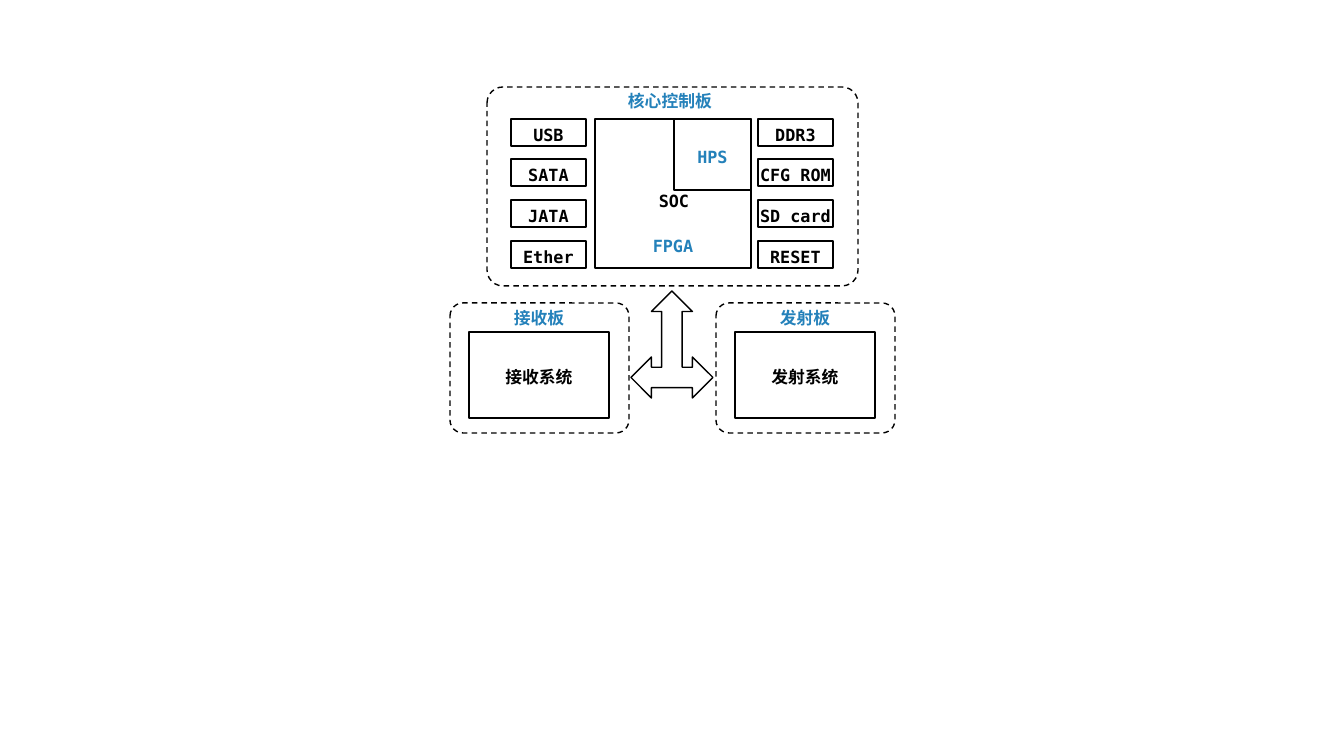
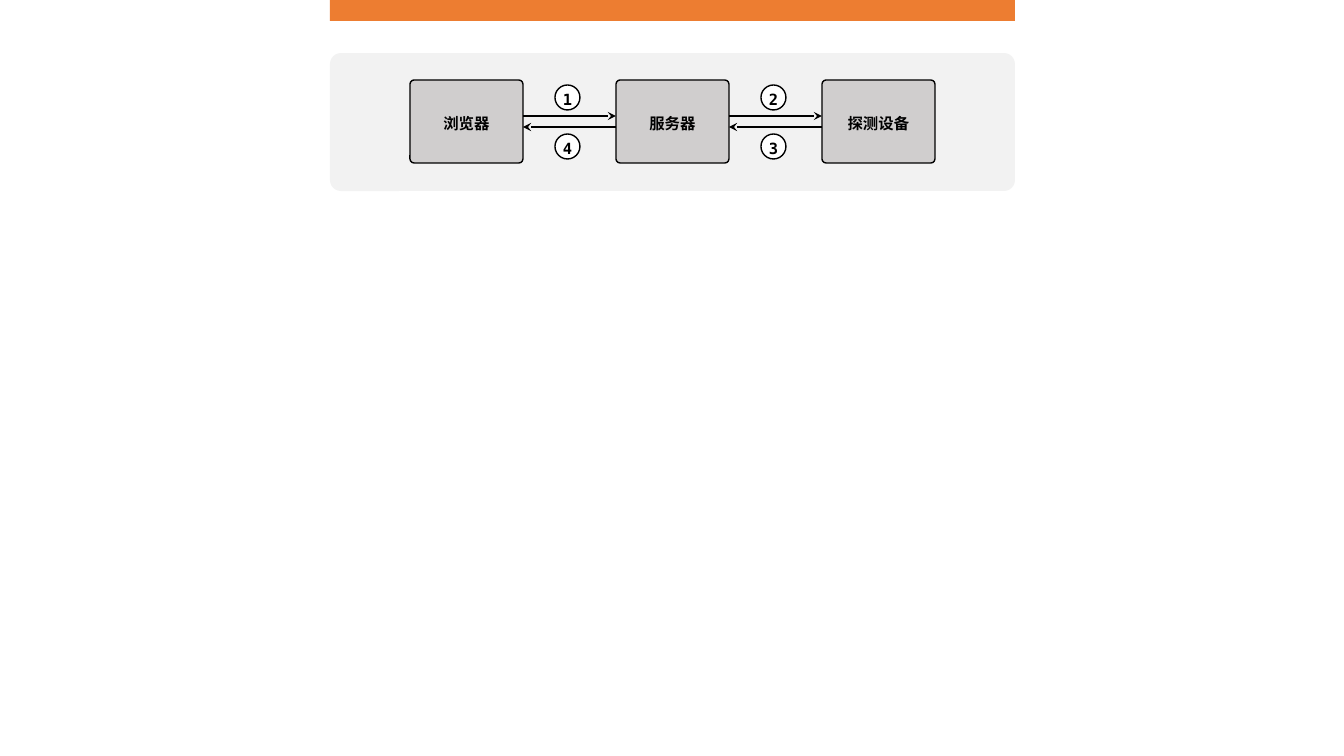
"""Build two slides: a control board block diagram and a browser-to-device request flow."""
from lxml.etree import SubElement
from pptx import Presentation
from pptx.dml.color import RGBColor
from pptx.enum.dml import MSO_LINE
from pptx.enum.shapes import MSO_CONNECTOR, MSO_SHAPE
from pptx.enum.text import MSO_ANCHOR, PP_ALIGN
from pptx.oxml.ns import qn
from pptx.util import Pt

PX = 914400 / 100.8
FONT = "DejaVu Sans Mono"
BLACK = RGBColor(0x00, 0x00, 0x00)
WHITE = RGBColor(0xFF, 0xFF, 0xFF)
BLUE = RGBColor(0x24, 0x81, 0xBA)
ORANGE = RGBColor(0xED, 0x7D, 0x31)
PANEL_GRAY = RGBColor(0xF2, 0xF2, 0xF2)
NODE_GRAY = RGBColor(0xD0, 0xCE, 0xCE)


def add_text(shape, text, size=12, color=BLACK, anchor=MSO_ANCHOR.MIDDLE, bottom=0):
    frame = shape.text_frame
    frame.word_wrap = True
    frame.vertical_anchor = anchor
    frame.margin_left = frame.margin_right = 0
    frame.margin_top = round(4 * PX)
    frame.margin_bottom = round(bottom * PX)
    paragraph = frame.paragraphs[0]
    paragraph.alignment = PP_ALIGN.CENTER
    run = paragraph.add_run()
    run.text = text
    run.font.name = FONT
    run.font.size = Pt(size)
    run.font.bold = True
    run.font.color.rgb = color


def add_box(slide, bounds, kind=MSO_SHAPE.RECTANGLE, fill=None, line=BLACK, dash=None, corner=None):
    shape = slide.shapes.add_shape(kind, *[round(length * PX) for length in bounds])
    shape.shadow.inherit = False
    if corner is not None:
        shape.adjustments[0] = corner
    if fill is None:
        shape.fill.background()
    else:
        shape.fill.solid()
        shape.fill.fore_color.rgb = fill
    if line is None:
        shape.line.fill.background()
    else:
        shape.line.color.rgb = line
        shape.line.width = Pt(1)
        if dash is not None:
            shape.line.dash_style = dash
    return shape


presentation = Presentation()
presentation.slide_width = round(1344 * PX)
presentation.slide_height = round(756 * PX)
blank_layout = presentation.slide_layouts[6]

board_slide = presentation.slides.add_slide(blank_layout)
boards = [
    ((487, 87, 371, 199), 0.08),
    ((450, 303, 179, 130), 0.1),
    ((716, 303, 179, 130), 0.1),
]
for bounds, corner in boards:
    add_box(board_slide, bounds, MSO_SHAPE.ROUNDED_RECTANGLE, dash=MSO_LINE.DASH, corner=corner)

port_columns = [
    (511, ["USB", "SATA", "JATA", "Ether"]),
    (758, ["DDR3", "CFG ROM", "SD card", "RESET"]),
]
for left, names in port_columns:
    for row, name in enumerate(names):
        port = add_box(board_slide, (left, 119 + row * 122 // 3, 75, 27))
        add_text(port, name)

fpga = add_box(board_slide, (595, 119, 156, 149))
add_text(fpga, "FPGA", color=BLUE, anchor=MSO_ANCHOR.BOTTOM, bottom=12)
hps = add_box(board_slide, (674, 119, 77, 71))
add_text(hps, "HPS", color=BLUE)
add_box(board_slide, (631, 291, 82, 107), MSO_SHAPE.LEFT_RIGHT_UP_ARROW)

for left, name in [(469, "接收系统"), (735, "发射系统")]:
    system = add_box(board_slide, (left, 332, 140, 86))
    add_text(system, name)

labels = [
    ("核心控制板", (620, 87, 100, 24), BLUE),
    ("SOC", (642, 179, 64, 40), BLACK),
    ("接收板", (508, 302, 62, 27), BLUE),
    ("发射板", (774, 302, 62, 27), BLUE),
]
for text, bounds, color in labels:
    label = board_slide.shapes.add_textbox(*[round(length * PX) for length in bounds])
    add_text(label, text, color=color)

flow_slide = presentation.slides.add_slide(blank_layout)
add_box(flow_slide, (330, 0, 685, 21), fill=ORANGE, line=None)
add_box(flow_slide, (330, 53, 685, 138), MSO_SHAPE.ROUNDED_RECTANGLE,
        fill=PANEL_GRAY, line=None, corner=0.08)

NODE_LEFT, NODE_WIDTH, NODE_PITCH = 410, 113, 206
for column, name in enumerate(["浏览器", "服务器", "探测设备"]):
    node = add_box(flow_slide, (NODE_LEFT + column * NODE_PITCH, 80, NODE_WIDTH, 83),
                   MSO_SHAPE.ROUNDED_RECTANGLE, fill=NODE_GRAY, corner=0.05)
    add_text(node, name, size=11)

for column, (request, reply) in enumerate([("1", "4"), ("2", "3")]):
    node_left = NODE_LEFT + column * NODE_PITCH
    start, end = node_left + NODE_WIDTH, node_left + NODE_PITCH
    for step, tail, head, line_top, badge_top in [
        (request, start, end, 116, 85),
        (reply, end, start, 127, 134),
    ]:
        arrow = flow_slide.shapes.add_connector(
            MSO_CONNECTOR.STRAIGHT, *[round(length * PX) for length in (tail, line_top, head, line_top)])
        arrow.line.color.rgb = BLACK
        arrow.line.width = Pt(1)
        SubElement(arrow.line._get_or_add_ln(), qn("a:tailEnd"), type="stealth")
        SubElement(arrow._element.spPr, qn("a:effectLst"))
        badge = add_box(flow_slide, (node_left + 145, badge_top, 25, 25), MSO_SHAPE.OVAL, fill=WHITE)
        add_text(badge, step, size=11)

presentation.save("out.pptx")
